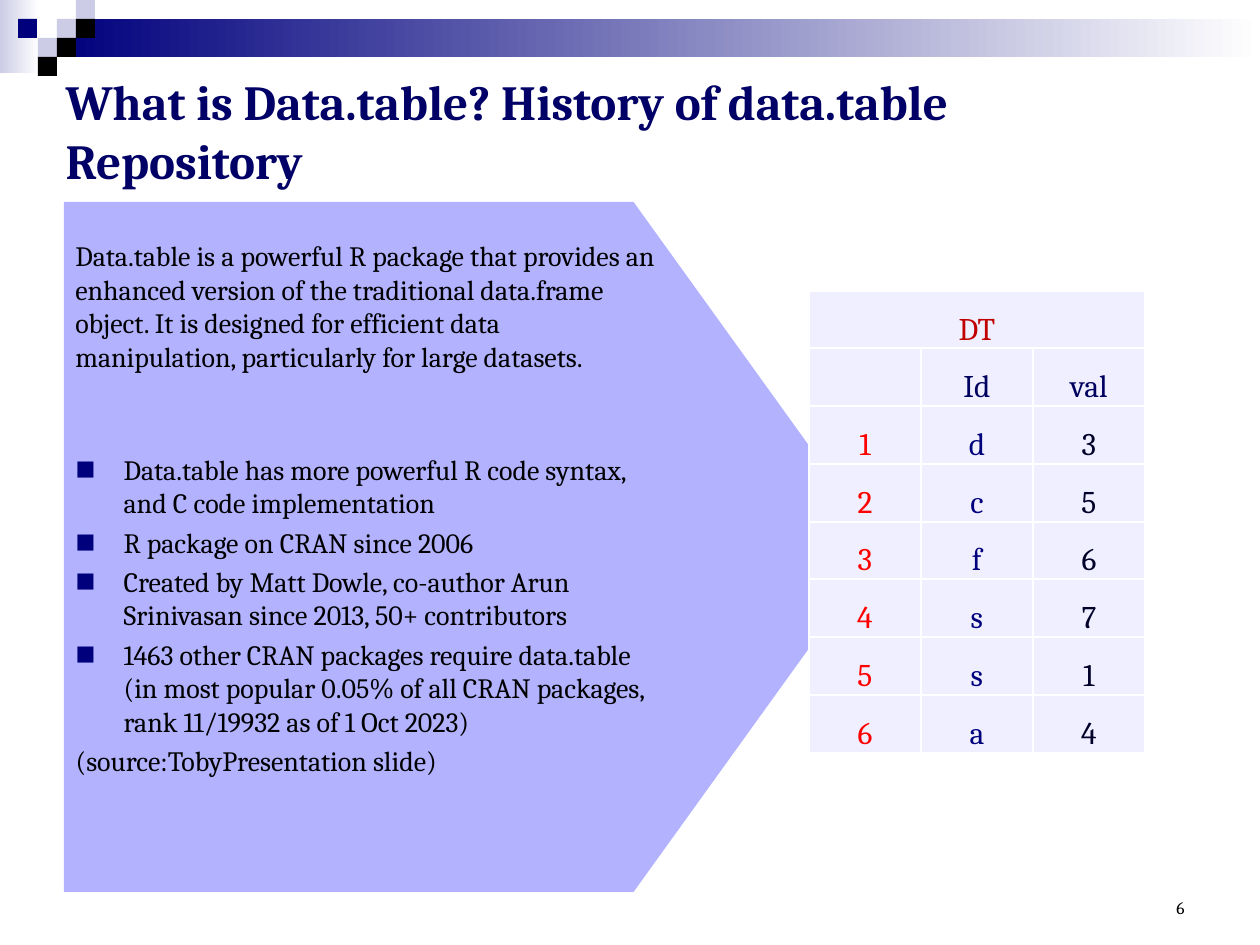
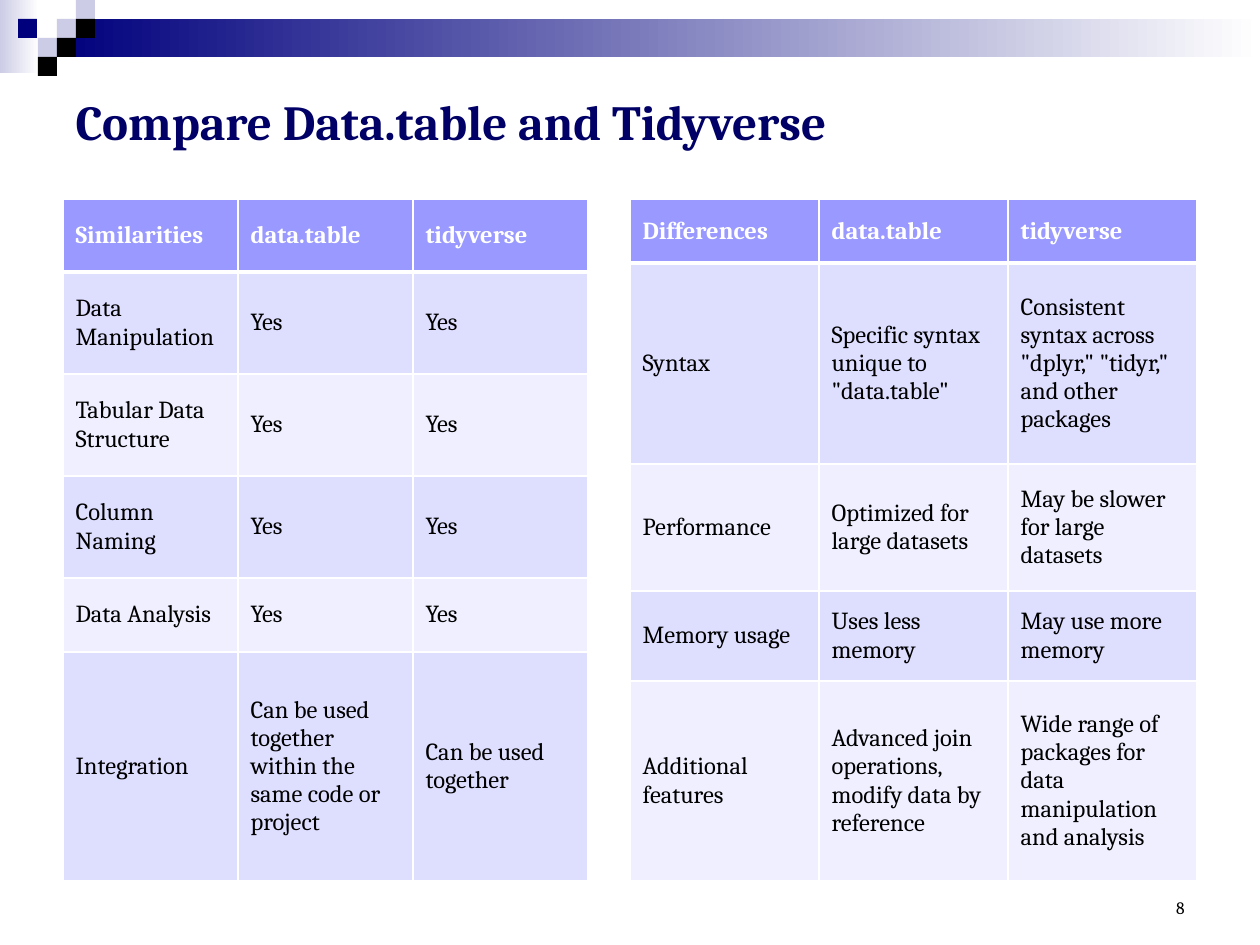
import dataclasses
import typing

import pptx
import pptx.dml.color
import pptx.enum.shapes
import pptx.enum.text
import pptx.oxml
import pptx.oxml.ns
import pptx.slide
import pptx.table
import pptx.text.text
import pptx.util

PX_PER_INCH = 126
ANCHOR = pptx.enum.text.MSO_ANCHOR
ALIGN = pptx.enum.text.PP_ALIGN
PRESET = pptx.enum.shapes.MSO_SHAPE


@dataclasses.dataclass(frozen=True)
class Theme:
    font: str = "Cambria"
    title_pt: int = 28
    key_table_pt: int = 18
    body_pt: int = 16
    compare_pt: int = 14
    number_pt: int = 10
    title: str = "000066"
    ink: str = "000000"
    white: str = "FFFFFF"
    navy: str = "00007D"
    mist: str = "CCCCE6"
    arrow: str = "B2B2FF"
    header: str = "9999FF"
    band_dark: str = "DEDEFF"
    band_light: str = "EFEFFF"
    table_name: str = "C00000"
    column_name: str = "00005E"
    row_index: str = "FF0000"
    value: str = "000029"


THEME = Theme()


class Box(typing.NamedTuple):
    left: int
    top: int
    width: int
    height: int


class Type(typing.NamedTuple):
    size: int
    color: str = THEME.ink
    bold: bool = False


class Decoration(typing.NamedTuple):
    box: Box
    color: str
    fades: bool = False


class Comparison(typing.NamedTuple):
    box: Box
    heights: list[int]
    rows: list[list[str]]


UNIT = 19  # side of one square in the corner pattern


def square(left: int, row: int, color: str) -> Decoration:
    return Decoration(Box(left, row * UNIT, UNIT, UNIT), color)


DECORATIONS = [
    Decoration(Box(0, 0, 39, 73), THEME.mist, fades=True),
    Decoration(Box(3 * UNIT, UNIT, 1203, 2 * UNIT), THEME.navy, fades=True),
    square(3 * UNIT, 1, THEME.mist),
    square(4 * UNIT, 0, THEME.mist),
    square(4 * UNIT, 1, THEME.ink),
    square(2 * UNIT, 2, THEME.mist),
    square(18, 1, THEME.navy),
    square(3 * UNIT, 2, THEME.ink),
    square(2 * UNIT, 3, THEME.ink),
]
NUMBER_BOX = Box(903, 861, 294, 63)

INTRO = ("Data.table is a powerful R package that provides an enhanced version of the "
         "traditional data.frame object. It is designed for efficient data "
         "manipulation, particularly for large datasets.")
FACTS = [
    "Data.table has more powerful R code syntax, and C code implementation",
    "R package on CRAN since 2006",
    "Created by Matt Dowle, co-author Arun Srinivasan since 2013, 50+ contributors",
    "1463 other CRAN packages require data.table (in most popular 0.05% of all CRAN "
    "packages, rank 11/19932 as of 1 Oct 2023)",
]
SOURCE = "(source:TobyPresentation slide)"
DT_RECORDS = [("d", 3), ("c", 5), ("f", 6), ("s", 7), ("s", 1), ("a", 4)]

COMPARISONS = [
    Comparison(Box(63, 199, 525, 682), [73, 102, 102, 102, 74, 229], [
        ["Similarities", "data.table", "tidyverse"],
        ["Data Manipulation", "Yes", "Yes"],
        ["Tabular Data Structure", "Yes", "Yes"],
        ["Column Naming", "Yes", "Yes"],
        ["Data Analysis", "Yes", "Yes"],
        ["Integration", "Can be used together within the same code or project",
         "Can be used together"],
    ]),
    Comparison(Box(630, 199, 567, 682), [64, 201, 127, 90, 200], [
        ["Differences", "data.table", "tidyverse"],
        ["Syntax", 'Specific syntax unique to "data.table"',
         'Consistent syntax across "dplyr," "tidyr," and other packages'],
        ["Performance", "Optimized for large datasets",
         "May be slower for large datasets"],
        ["Memory usage", "Uses less memory", "May use more memory"],
        ["Additional features", "Advanced join operations, modify data by reference",
         "Wide range of packages for data manipulation and analysis"],
    ]),
]


def px(length: int) -> pptx.util.Emu:
    return pptx.util.Emu(round(length * 914400 / PX_PER_INCH))


def emu_box(box: Box) -> list[pptx.util.Emu]:
    return [px(length) for length in box]


def even_split(total: int, count: int) -> list[int]:
    return [total * (i + 1) // count - total * i // count for i in range(count)]


def rgb(color: str) -> pptx.dml.color.RGBColor:
    return pptx.dml.color.RGBColor.from_string(color)


def write(paragraph: pptx.text.text._Paragraph, text: str, style: Type,
          align: ALIGN = ALIGN.LEFT) -> None:
    paragraph.alignment = align
    run = paragraph.add_run()
    run.text = text
    run.font.name = THEME.font
    run.font.size = pptx.util.Pt(style.size)
    run.font.bold = style.bold
    run.font.color.rgb = rgb(style.color)


def add_note(slide: pptx.slide.Slide, box: Box, text: str, style: Type,
             anchor: ANCHOR, align: ALIGN = ALIGN.LEFT) -> None:
    frame = slide.shapes.add_textbox(*emu_box(box)).text_frame
    frame.word_wrap = True
    frame.vertical_anchor = anchor
    write(frame.paragraphs[0], text, style, align)


def place(placeholder: typing.Any, box: Box, anchor: ANCHOR) -> pptx.text.text.TextFrame:
    (placeholder.left, placeholder.top,
     placeholder.width, placeholder.height) = emu_box(box)
    frame = placeholder.text_frame
    frame.auto_size = pptx.enum.text.MSO_AUTO_SIZE.NONE
    frame.word_wrap = True
    frame.vertical_anchor = anchor
    return frame


def add_filled(slide: pptx.slide.Slide, preset: PRESET, box: Box, color: str,
               fades: bool = False) -> typing.Any:
    shape = slide.shapes.add_shape(preset, *emu_box(box))
    shape.shadow.inherit = False
    shape.line.fill.background()
    if fades:
        shape.fill.gradient()
        shape.fill.gradient_angle = 0
        for stop, stop_color in zip(shape.fill.gradient_stops, (color, THEME.white)):
            stop.color.rgb = rgb(stop_color)
    else:
        shape.fill.solid()
        shape.fill.fore_color.rgb = rgb(color)
    return shape


def start_slide(deck: typing.Any, layout: int, title: str, title_box: Box,
                number: int) -> pptx.slide.Slide:
    slide = deck.slides.add_slide(deck.slide_layouts[layout])
    for decoration in DECORATIONS:
        add_filled(slide, PRESET.RECTANGLE, *decoration)
    frame = place(slide.shapes.title, title_box, ANCHOR.MIDDLE)
    write(frame.paragraphs[0], title, Type(THEME.title_pt, THEME.title, True))
    add_note(slide, NUMBER_BOX, str(number), Type(THEME.number_pt), ANCHOR.BOTTOM,
             ALIGN.RIGHT)
    return slide


def set_bullet(paragraph: pptx.text.text._Paragraph, bulleted: bool) -> None:
    indent = px(48) if bulleted else 0
    properties = paragraph._p.get_or_add_pPr()
    properties.set("marL", str(indent))
    properties.set("indent", str(-indent))
    marks = ([f'buClr {{}}><a:srgbClr val="{THEME.navy}"/></a:buClr>',
              'buSzPct {} val="75000"/>',
              f'buFont {{}} typeface="{THEME.font}"/>',
              'buChar {} char="■"/>'] if bulleted else ["buNone {}/>"])
    for mark in marks:
        xml = "<a:" + mark.format(pptx.oxml.ns.nsdecls("a"))
        properties.append(pptx.oxml.parse_xml(xml))


def set_borders(cell: pptx.table._Cell, top: int = 1, bottom: int = 1) -> None:
    """Draw white borders; widths are in points."""
    properties = cell._tc.get_or_add_tcPr()
    widths = {"lnL": 1, "lnR": 1, "lnT": top, "lnB": bottom}
    for position, (side, width) in enumerate(widths.items()):
        properties.insert(position, pptx.oxml.parse_xml(
            f'<a:{side} {pptx.oxml.ns.nsdecls("a")} w="{pptx.util.Pt(width)}">'
            f'<a:solidFill><a:srgbClr val="{THEME.white}"/></a:solidFill></a:{side}>'))


def add_grid(slide: pptx.slide.Slide, box: Box, heights: list[int],
             column_count: int) -> pptx.table.Table:
    table = slide.shapes.add_table(len(heights), column_count, *emu_box(box)).table
    table.first_row = table.horz_banding = False
    for column, width in zip(table.columns, even_split(box.width, column_count)):
        column.width = px(width)
    for row, height in zip(table.rows, heights):
        row.height = px(height)
    return table


def fill_cell(cell: pptx.table._Cell, text: str, style: Type, fill: str,
              anchor: ANCHOR, align: ALIGN = ALIGN.LEFT) -> None:
    cell.fill.solid()
    cell.fill.fore_color.rgb = rgb(fill)
    cell.vertical_anchor = anchor
    if text:
        write(cell.text_frame.paragraphs[0], text, style, align)


def add_dt_table(slide: pptx.slide.Slide) -> None:
    rows = [["DT", "", ""], ["", "Id", "val"]]
    rows += [[str(i), key, str(value)] for i, (key, value) in enumerate(DT_RECORDS, 1)]
    box = Box(809, 291, 336, 462)
    table = add_grid(slide, box, even_split(box.height, len(rows)), 3)
    table.cell(0, 0).merge(table.cell(0, 2))
    record_colors = [THEME.row_index, THEME.navy, THEME.value]
    heading_colors = [[THEME.table_name] * 3, [THEME.column_name] * 3]
    for r, row in enumerate(rows):
        colors = heading_colors[r] if r < 2 else record_colors
        for c, (text, color) in enumerate(zip(row, colors)):
            cell = table.cell(r, c)
            fill_cell(cell, text, Type(THEME.key_table_pt, color), THEME.band_light,
                      ANCHOR.BOTTOM, ALIGN.CENTER)
            cell.margin_left = cell.margin_right = cell.margin_top = px(1)
            cell.margin_bottom = 0
            set_borders(cell)


def add_comparison(slide: pptx.slide.Slide, comparison: Comparison) -> None:
    table = add_grid(slide, comparison.box, comparison.heights, 3)
    for r, row in enumerate(comparison.rows):
        if r == 0:
            style, fill = Type(THEME.compare_pt, THEME.white, True), THEME.header
        else:
            style = Type(THEME.compare_pt)
            fill = THEME.band_dark if r % 2 else THEME.band_light
        for c, text in enumerate(row):
            cell = table.cell(r, c)
            fill_cell(cell, text, style, fill, ANCHOR.MIDDLE)
            set_borders(cell, top=3 if r == 1 else 1, bottom=3 if r == 0 else 1)


def build_history_slide(deck: typing.Any) -> None:
    slide = start_slide(deck, 1, "What is Data.table? History of data.table Repository",
                        Box(53, 78, 1134, 105), 6)
    arrow = add_filled(slide, PRESET.PENTAGON, Box(64, 202, 818, 690), THEME.arrow)
    arrow.adjustments[0] = 0.36
    slide.shapes._spTree.insert(2, arrow._element)  # behind the list
    body_style = Type(THEME.body_pt)
    add_note(slide, Box(63, 202, 606, 208), INTRO, body_style, ANCHOR.MIDDLE)
    facts = place(slide.placeholders[1], Box(63, 446, 606, 410), ANCHOR.TOP)
    for i, text in enumerate([*FACTS, SOURCE]):
        paragraph = facts.add_paragraph() if i else facts.paragraphs[0]
        write(paragraph, text, body_style)
        set_bullet(paragraph, bulleted=text != SOURCE)
    add_dt_table(slide)


def build_comparison_slide(deck: typing.Any) -> None:
    slide = start_slide(deck, 5, "Compare Data.table and Tidyverse",
                        Box(63, 63, 1134, 116), 8)
    for comparison in COMPARISONS:
        add_comparison(slide, comparison)


def main() -> None:
    deck = pptx.Presentation()
    deck.slide_width, deck.slide_height = px(1260), px(945)
    build_history_slide(deck)
    build_comparison_slide(deck)
    deck.save("out.pptx")


if __name__ == "__main__":
    main()
